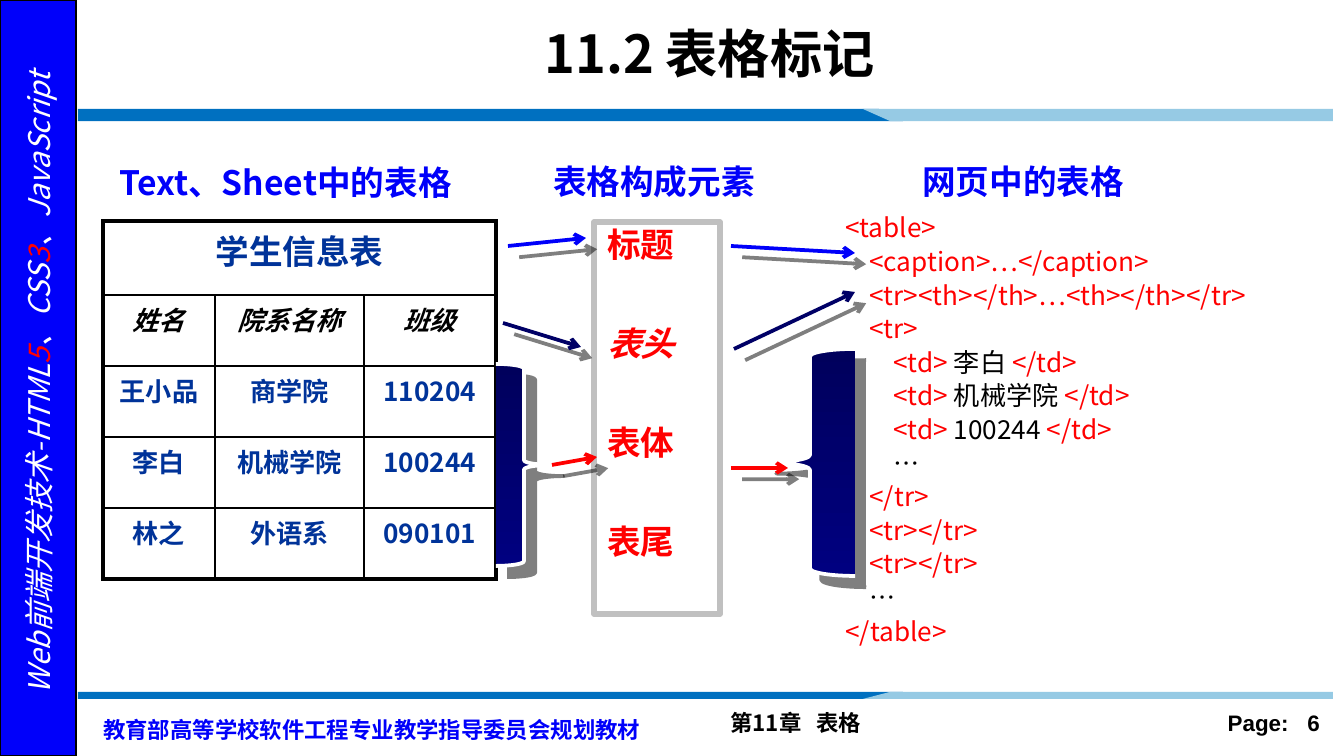
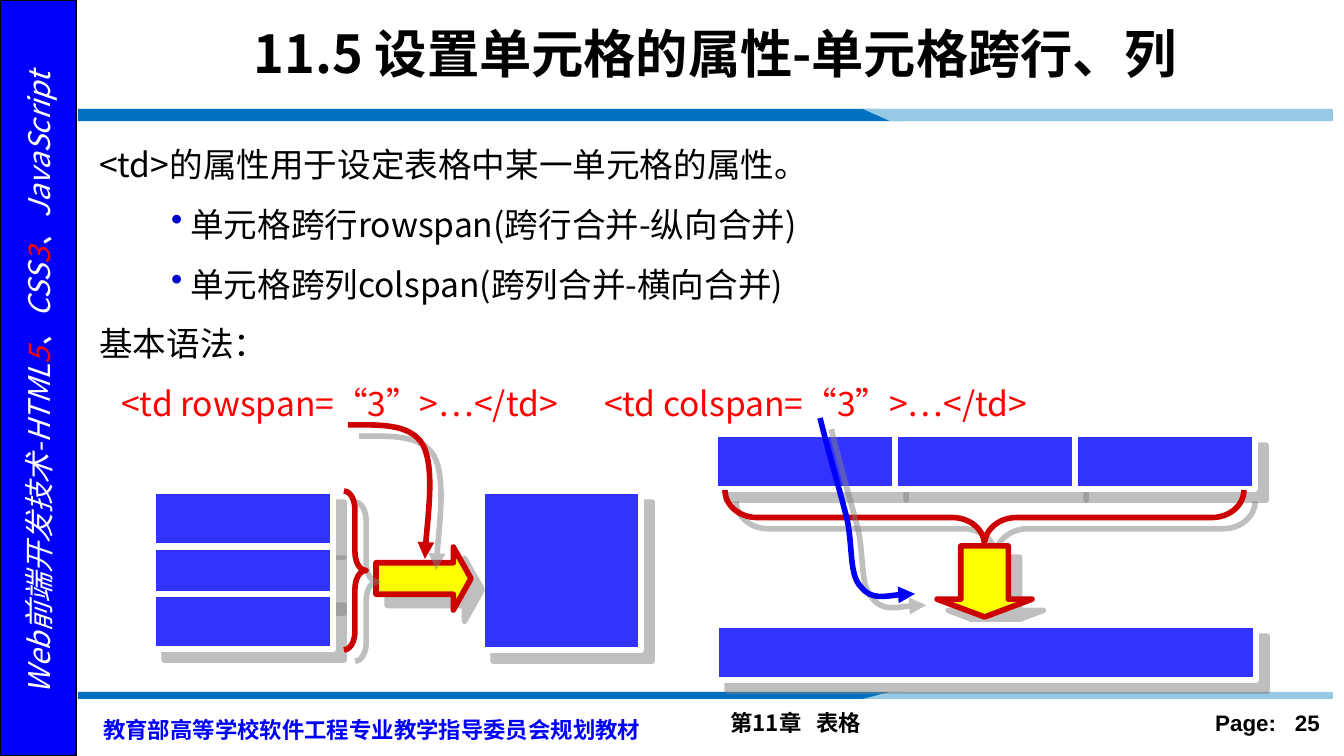
from copy import deepcopy

from lxml import etree
from pptx import Presentation
from pptx.dml.color import RGBColor
from pptx.enum.shapes import MSO_CONNECTOR, MSO_SHAPE
from pptx.enum.text import MSO_ANCHOR, PP_ALIGN
from pptx.oxml.ns import qn
from pptx.util import Pt

PX = 914400 / 134.4
FONT = "Noto Sans CJK SC"
FOOTER_FONT = "Arial"

BLACK = RGBColor(0x00, 0x00, 0x00)
WHITE = RGBColor(0xFF, 0xFF, 0xFF)
RED = RGBColor(0xFF, 0x00, 0x00)
BLUE = RGBColor(0x00, 0x00, 0xFA)
NAVY = RGBColor(0x00, 0x00, 0x66)
CELL_BLUE = RGBColor(0x00, 0x33, 0x99)
BAND_DARK = RGBColor(0x00, 0x70, 0xC0)
BAND_LIGHT = RGBColor(0x96, 0xCA, 0xE4)
BRACE_TOP = RGBColor(0x00, 0x00, 0x5C)
BRACE_BOTTOM = RGBColor(0x00, 0x00, 0x80)
SILVER = RGBColor(0xC0, 0xC0, 0xC0)
GRAY = RGBColor(0x80, 0x80, 0x80)
BLOCK_BLUE = RGBColor(0x33, 0x33, 0xFF)
BULLET_BLUE = RGBColor(0x00, 0x00, 0xCC)
DARK_RED = RGBColor(0xCC, 0x00, 0x00)
YELLOW = RGBColor(0xFF, 0xFF, 0x00)

RECTANGLE = MSO_SHAPE.RECTANGLE
RIGHT_ARROW = MSO_SHAPE.RIGHT_ARROW
LEFT_BRACE = MSO_SHAPE.LEFT_BRACE
RIGHT_BRACE = MSO_SHAPE.RIGHT_BRACE
STRAIGHT = MSO_CONNECTOR.STRAIGHT
LEFT, CENTER, RIGHT = PP_ALIGN.LEFT, PP_ALIGN.CENTER, PP_ALIGN.RIGHT
TOP, MIDDLE = MSO_ANCHOR.TOP, MSO_ANCHOR.MIDDLE


def px(value):
    return round(value * PX)


def frame(*values):
    return [px(value) for value in values]


def add_node(parent, tag, **attributes):
    return etree.SubElement(parent, qn(tag), {key: str(value) for key, value in attributes.items()})


def add_shadow(shape, color):
    effects = add_node(shape.element.spPr, "a:effectLst")
    if color is not None:
        shadow = add_node(effects, "a:outerShdw", blurRad=0, dist=Pt(8.5), dir=45 * 60000, algn="ctr", rotWithShape=0)
        add_node(add_node(shadow, "a:srgbClr", val=color), "a:alpha", val=50000)


def add_arrowhead(shape, kind):
    add_node(shape.line._get_or_add_ln(), "a:tailEnd", type=kind)


def write_paragraph(paragraph, runs, size, color, bold=False, italic=False, align=LEFT, font=FONT):
    paragraph.alignment = align
    style = paragraph.font
    style.size, style.bold, style.italic, style.name = Pt(size), bold, italic, font
    latin = paragraph._p.find(".//" + qn("a:latin"))
    east_asian = deepcopy(latin)
    east_asian.tag = qn("a:ea")
    latin.addnext(east_asian)
    runs = [(runs, color)] if isinstance(runs, str) else runs
    if len({run_color for _, run_color, *_ in runs}) == 1:
        style.color.rgb = runs[0][1]
    for text, run_color, *spacing in runs:
        run = paragraph.add_run()
        run.text = text
        if run_color != runs[0][1] or style.color.type is None:
            run.font.color.rgb = run_color
        if spacing:
            run._r.get_or_add_rPr().set("spc", str(spacing[0]))


def write_lines(text_frame, lines, size, color, spacing=None, before=0, **style):
    for index, runs in enumerate(lines):
        paragraph = text_frame.add_paragraph() if index else text_frame.paragraphs[0]
        if spacing:
            paragraph.line_spacing = spacing
        if index and before:
            paragraph.space_before = Pt(before)
        write_paragraph(paragraph, runs, size, color, **style)


def add_text(slide, box, lines, size, color, anchor=TOP, wrap=True, **style):
    shape = slide.shapes.add_textbox(*frame(*box))
    shape.text_frame.word_wrap = wrap
    shape.text_frame.vertical_anchor = anchor
    write_lines(shape.text_frame, lines, size, color, **style)
    return shape


def indent(paragraph, left, first=0, bullet=None):
    properties = paragraph._p.get_or_add_pPr()
    properties.set("marL", str(px(left)))
    properties.set("indent", str(px(first)))
    if bullet:
        color = etree.Element(qn("a:buClr"))
        add_node(color, "a:srgbClr", val=BULLET_BLUE)
        mark = etree.Element(qn("a:buChar"), char=bullet)
        defaults = properties.find(qn("a:defRPr"))
        defaults.addprevious(color)
        defaults.addprevious(mark)


def add_preset(slide, kind, box, fill=None, line=WHITE, width=3, shadow=GRAY, rotation=0, adjustments=()):
    shape = slide.shapes.add_shape(kind, *frame(*box))
    for index, value in enumerate(adjustments):
        shape.adjustments[index] = value
    shape.rotation = rotation
    if fill is None:
        shape.fill.background()
    else:
        shape.fill.solid()
        shape.fill.fore_color.rgb = fill
    shape.line.color.rgb = line
    shape.line.width = Pt(width)
    add_shadow(shape, shadow)
    return shape


def add_gradient_brace(slide, kind, box):
    brace = add_preset(slide, kind, box, width=2, shadow=BLACK)
    brace.fill.gradient()
    brace.fill.gradient_angle = 270
    for stop, color in zip(brace.fill.gradient_stops, (BRACE_TOP, BRACE_BOTTOM)):
        stop.color.rgb = color


def add_arrow(slide, start, end, color):
    arrow = slide.shapes.add_connector(STRAIGHT, *frame(*start, *end))
    arrow.line.color.rgb = color
    arrow.line.width = Pt(2)
    add_arrowhead(arrow, "arrow")
    add_shadow(arrow, BLACK)


def add_outline(slide, points, closed):
    builder = slide.shapes.build_freeform(*points[0], scale=PX)
    builder.add_line_segments(points[1:], close=closed)
    return builder.convert_to_shape()


def add_curved_arrow(slide, points, color):
    curve = add_outline(slide, points, False)
    segments = list(curve.element.iter(qn("a:lnTo")))
    for index in range(0, len(segments), 3):
        bezier = etree.Element(qn("a:cubicBezTo"))
        segments[index].addprevious(bezier)
        for segment in segments[index:index + 3]:
            bezier.append(segment[0])
            segment.getparent().remove(segment)
    curve.fill.background()
    curve.line.color.rgb = color
    curve.line.width = Pt(3)
    add_arrowhead(curve, "triangle")
    add_shadow(curve, GRAY)


def add_band(slide, outer, inner):
    dark = [(78, outer), (879, outer), (903, inner), (78, inner)]
    light = [(863, outer), (1333, outer), (1333, inner), (890, inner)]
    for points, color in ((dark, BAND_DARK), (light, BAND_LIGHT)):
        band = add_outline(slide, points, True)
        band.fill.solid()
        band.fill.fore_color.rgb = color
        band.line.fill.background()
        add_shadow(band, None)


def add_base_slide(presentation, title, number):
    slide = presentation.slides.add_slide(presentation.slide_layouts[6])
    chapter = [("第11章", BLACK), (" ", BLACK, 540), ("表格", BLACK)]
    page = [("Page:", BLACK), (" ", BLACK, 667), (str(number), BLACK)]
    add_text(slide, (717, 703, 442, 40), [chapter], 12, BLACK, bold=True)
    add_text(slide, (1165, 703, 168, 40), [page], 12, BLACK, bold=True, align=RIGHT, font=FOOTER_FONT)
    add_preset(slide, RECTANGLE, (0, 0, 76, 756), BLUE, BLACK, 1, None)
    add_text(slide, (90, 703, 582, 47), ["教育部高等学校软件工程专业教学指导委员会规划教材"],
             12, BLUE, bold=True, spacing=Pt(18))
    book = [("Web前端开发技术-HTML", WHITE), ("5", RED), ("、CSS", WHITE), ("3", RED), ("、JavaScript", WHITE)]
    add_text(slide, (-310, 358, 698, 50), [book], 16, WHITE, italic=True, align=CENTER).rotation = 270
    add_band(slide, 109, 121)
    add_band(slide, 699, 692)
    add_text(slide, (145, 11, 1141, 83), [title], 28, BLACK, MIDDLE, bold=True, align=CENTER)
    return slide


def set_borders(cell, widths):
    properties = cell._tc.get_or_add_tcPr()
    for index, (side, width) in enumerate(widths.items()):
        border = etree.Element(qn("a:" + side), w=str(Pt(width)))
        add_node(add_node(border, "a:solidFill"), "a:srgbClr", val=BLACK)
        properties.insert(index, border)


def add_student_table(slide):
    rows = [
        ["学生信息表", "", ""],
        ["姓名", "院系名称", "班级"],
        ["王小品", "商学院", "110204"],
        ["李白", "机械学院", "100244"],
        ["林之", "外语系", "090101"],
    ]
    widths, heights = [112, 149, 132], [74, 71, 71, 71, 71]
    table = slide.shapes.add_table(5, 3, *frame(103, 221, sum(widths), sum(heights))).table
    table.first_row = table.horz_banding = False
    for column, width in zip(table.columns, widths):
        column.width = px(width)
    for row, height in zip(table.rows, heights):
        row.height = px(height)
    table.cell(0, 0).merge(table.cell(0, 2))
    for i, row in enumerate(rows):
        for j, text in enumerate(row):
            cell = table.cell(i, j)
            cell.margin_top = cell.margin_bottom = px(5)
            cell.fill.background()
            set_borders(cell, {"lnL": 1 if j else 2.25, "lnR": 2.25 if j == 2 or i == 0 else 1,
                               "lnT": 1 if i else 2.25, "lnB": 2.25 if i == 4 else 1})
            if text:
                write_paragraph(cell.text_frame.paragraphs[0], text, 14 if i else 18,
                                BLACK if i == 1 else CELL_BLUE, bold=True, italic=i == 1, align=CENTER)


def add_code(slide):
    def data_cell(text):
        return 2, [("<td> ", RED), (text, BLACK), (" </td>", RED)]

    lines = [
        (0, "<table>"),
        (1, "<caption>…</caption>"),
        (1, "<tr><th></th>…<th></th></tr>"),
        (1, "<tr>"),
        data_cell("李白"),
        data_cell("机械学院"),
        data_cell("100244"),
        (2, [("…", BLACK)]),
        (1, "</tr>"),
        (1, "<tr></tr>"),
        (1, "<tr></tr>"),
        (1, [("…", BLACK)]),
        (0, "</table>"),
    ]
    code = add_text(slide, (832, 203, 505, 453), [runs for _, runs in lines], 14, RED, spacing=Pt(18))
    for paragraph, (level, _) in zip(code.text_frame.paragraphs, lines):
        indent(paragraph, 24 * level)


def build_table_markup(presentation):
    slide = add_base_slide(presentation, "11.2 表格标记 ", 6)
    add_student_table(slide)
    parts = add_preset(slide, RECTANGLE, (594, 222, 126, 392), line=SILVER, shadow=None)
    parts.text_frame.vertical_anchor = TOP
    write_lines(parts.text_frame, ["标题", "表头", "表体", "表尾"], 18, RED, 0.9, 33.5, bold=True)
    parts.text_frame.paragraphs[1].font.italic = True
    add_code(slide)
    for box, heading, wrap in (
        ((106, 160, 464, 50), "Text、Sheet中的表格", True),
        ((909, 159, 382, 50), "网页中的表格", True),
        ((540, 159, 231, 50), "表格构成元素", False),
    ):
        add_text(slide, box, [heading], 18, BLUE, wrap=wrap, bold=True, spacing=0.9)
    add_arrow(slide, (508, 246), (586, 238), BLUE)
    add_arrow(slide, (731, 246), (855, 253), BLUE)
    add_arrow(slide, (503, 323), (581, 347), NAVY)
    add_arrow(slide, (734, 349), (855, 292), NAVY)
    add_gradient_brace(slide, RIGHT_BRACE, (496, 364, 56, 202))
    add_arrow(slide, (552, 465), (597, 457), RED)
    add_gradient_brace(slide, LEFT_BRACE, (765, 349, 90, 227))
    add_arrow(slide, (731, 468), (788, 468), RED)


def build_cell_spans(presentation):
    slide = add_base_slide(presentation, "11.5 设置单元格的属性-单元格跨行、列", 25)
    syntax = [("<td rowspan=“3”>…</td>", RED), (" ", RED, 2060), ("<td colspan=“3”>…</td>", RED)]
    lines = [
        ("<td>的属性用于设定表格中某一单元格的属性。", 8, 0, None),
        ("单元格跨行rowspan(跨行合并-纵向合并)", 99, -19, "•"),
        ("单元格跨列colspan(跨列合并-横向合并)", 99, -19, "•"),
        ("基本语法：", 8, 0, None),
        (syntax, 30, 0, None),
    ]
    body = add_text(slide, (78, 118, 1254, 261), [line[0] for line in lines], 18, BLACK, spacing=Pt(32))
    for paragraph, (_, *placement) in zip(body.text_frame.paragraphs, lines):
        indent(paragraph, *placement)

    for top in (491, 547, 594):
        add_preset(slide, RECTANGLE, (153, top, 180, 55), BLOCK_BLUE)
    add_preset(slide, RECTANGLE, (482, 491, 159, 159), BLOCK_BLUE)
    add_preset(slide, RIGHT_ARROW, (376, 547, 95, 63), YELLOW, DARK_RED, adjustments=(0.5, 0.28))
    add_curved_arrow(slide, [(348, 425), (379, 425), (410, 423), (423, 445),
                             (435, 468), (425, 540), (425, 559)], DARK_RED)
    for column in range(3):
        add_preset(slide, RECTANGLE, (715 + 180 * column, 434, 180, 55), BLOCK_BLUE)
    add_preset(slide, LEFT_BRACE, (957, 258, 55, 519), line=DARK_RED, rotation=270, adjustments=(0.58, 0.5))
    add_preset(slide, RIGHT_ARROW, (949, 534, 71, 95), YELLOW, DARK_RED, rotation=90, adjustments=(0.5, 0.25))
    add_preset(slide, RECTANGLE, (716, 625, 540, 55), BLOCK_BLUE)
    add_curved_arrow(slide, [(820, 418), (829, 454), (840, 491), (847, 519), (853, 547),
                             (849, 575), (861, 587), (872, 601), (906, 593), (915, 594)], BLUE)
    add_preset(slide, RIGHT_BRACE, (344, 491, 22, 159), line=DARK_RED, adjustments=(0.83, 0.5))


def main():
    presentation = Presentation()
    presentation.slide_width, presentation.slide_height = frame(1344, 756)
    build_table_markup(presentation)
    build_cell_spans(presentation)
    presentation.save("out.pptx")


if __name__ == "__main__":
    main()
